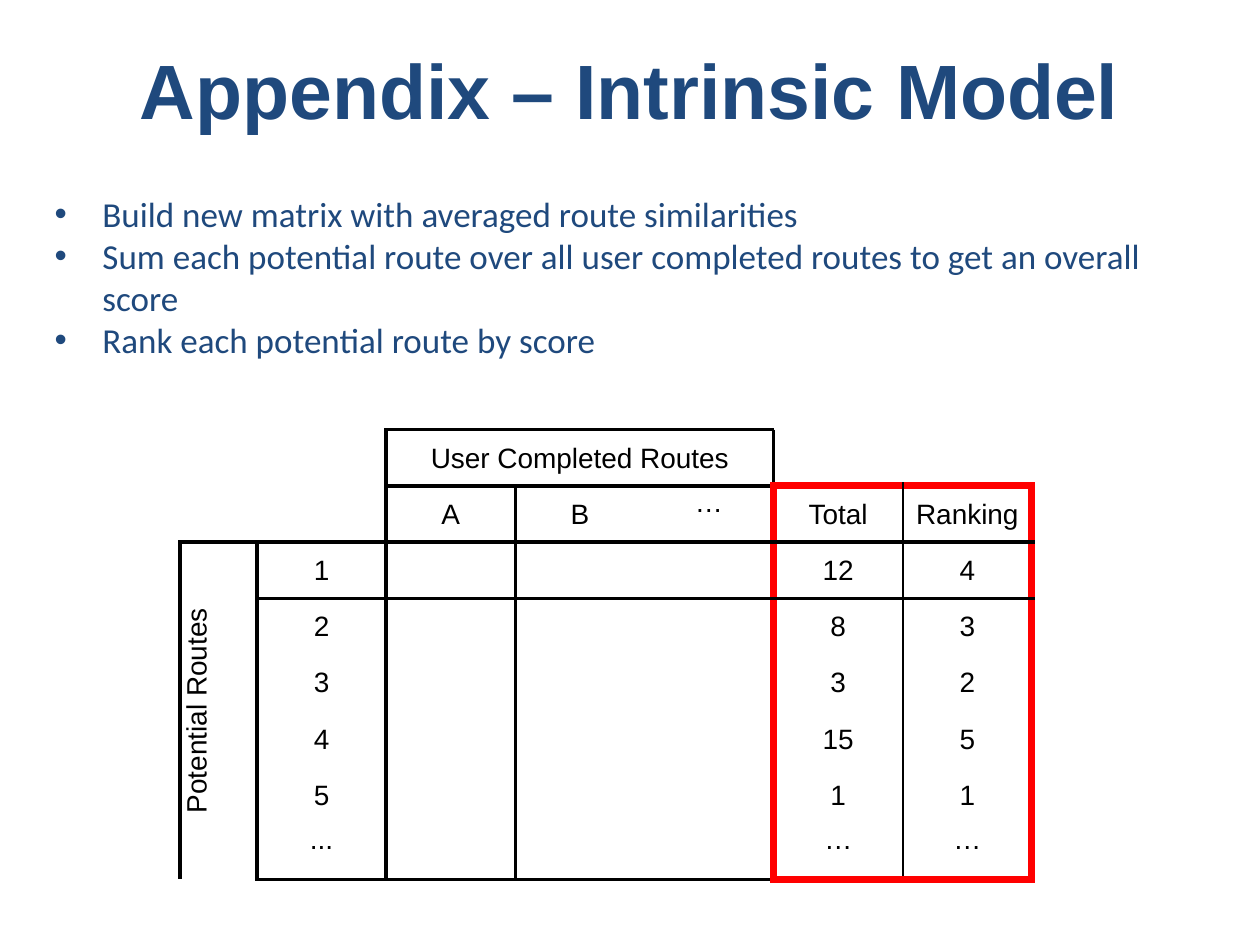
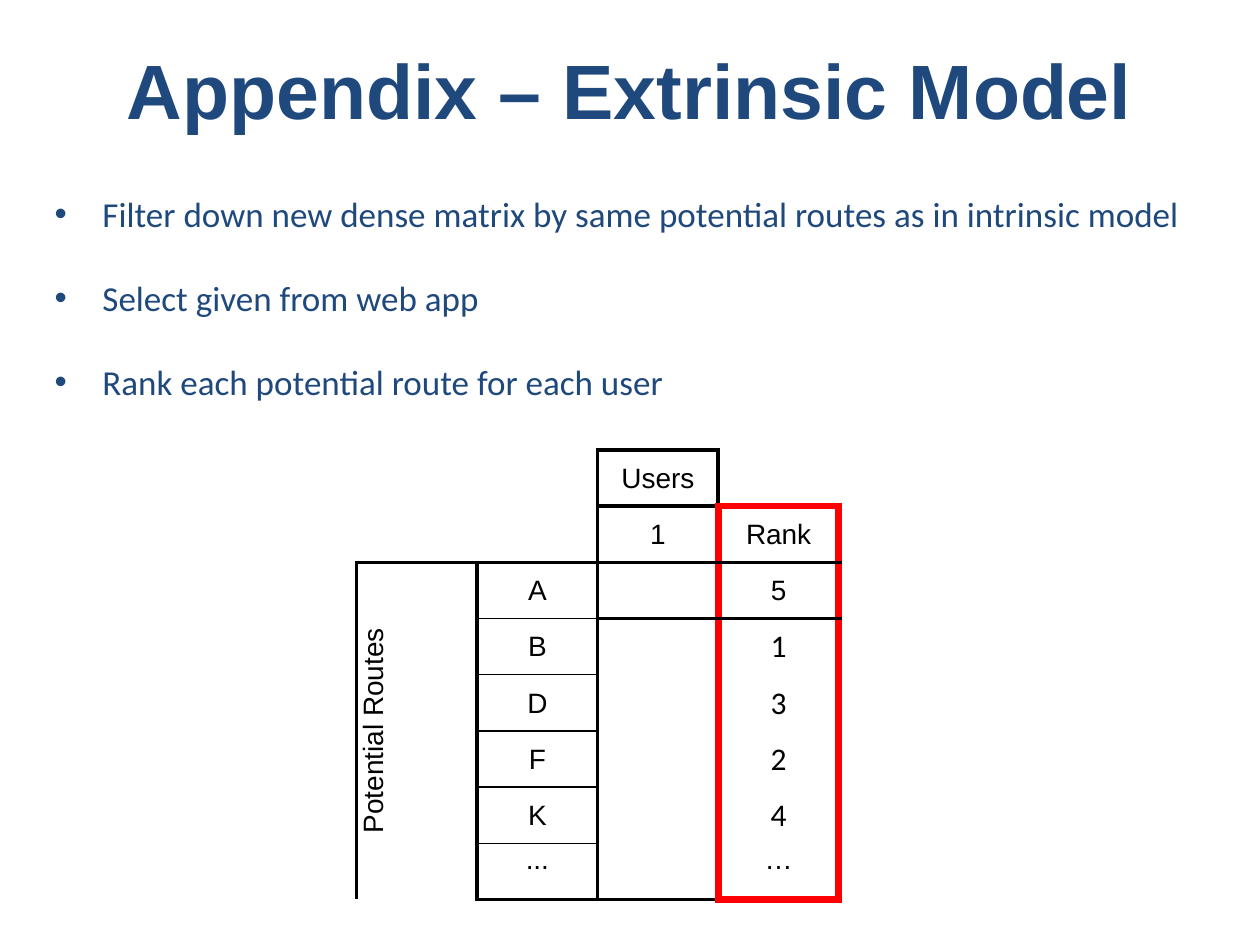
"""Build the two appendix slides on the intrinsic and extrinsic route models."""
from dataclasses import dataclass, field

from lxml import etree
from pptx import Presentation
from pptx import util as u
from pptx.dml import color
from pptx.enum import text
from pptx.oxml import ns

WIDTH, HEIGHT = u.Inches(10), u.Inches(7.5)
NAVY, BLACK, RED = "1F497D", "000000", "FF0000"
ROW = 5.95
LIST_INDENT = u.Inches(0.38)
NO_STYLE = "{2D5ABB26-0587-4C30-8999-92F81FD0307C}"
TITLE_FONT = {"name": "Arial", "size": u.Pt(44), "bold": True}
LIST_FONT = {"name": "Calibri", "size": u.Pt(20), "bold": False}
CELL_FONT = {"name": "Arial", "size": u.Pt(16), "bold": False}
SCORE_FONT = {"name": "Calibri", "size": u.Pt(18), "bold": False}
OPPOSITE = {"L": ("R", 0, -1), "R": ("L", 0, 1), "T": ("B", -1, 0), "B": ("T", 1, 0)}


@dataclass(frozen=True)
class Block:
    """Cells from (top, left) up to (bottom, right), outlined on some sides."""
    top: int
    left: int
    bottom: int
    right: int
    hue: str = BLACK
    points: float = 2.25
    sides: str = "LRTB"


@dataclass(frozen=True)
class Matrix:
    """A grid of texts; left, top and columns are percentages of the slide."""
    left: float
    top: float
    columns: list[float]
    rows: list[list[str]]
    blocks: list[Block]
    merges: list[Block] = field(default_factory=list)
    score_rows: range = range(0)


@dataclass(frozen=True)
class Model:
    """One appendix slide."""
    title: str
    steps: list[str]
    step_gap: float
    matrices: list[Matrix]


def across(share: float) -> int:
    """Turn a percentage of the slide's width into a length."""
    return round(WIDTH * share / 100)


def down(share: float) -> int:
    """Turn a percentage of the slide's height into a length."""
    return round(HEIGHT * share / 100)


def rgb(value: str) -> color.RGBColor:
    """Turn a hex string into a colour."""
    return color.RGBColor.from_string(value)


def assign(target, values: dict) -> None:
    """Set every attribute listed in values."""
    for name, value in values.items():
        setattr(target, name, value)


def write(paragraph, words: str, font: dict, hue: str) -> None:
    """Add one formatted run to a paragraph."""
    run = paragraph.add_run()
    run.text = words
    assign(run.font, font)
    run.font.color.rgb = rgb(hue)


def place(shape, left: float, top: float, width: float, height: float) -> None:
    """Move a shape to a position given in percentages of the slide."""
    assign(shape, {"left": across(left), "top": down(top),
                   "width": across(width), "height": down(height)})


def add_title(slide, words: str) -> None:
    """Fill the title placeholder."""
    title = slide.shapes.title
    place(title, 5, 1.07, 90, 16.67)
    assign(title.text_frame, {"vertical_anchor": text.MSO_ANCHOR.MIDDLE,
                              "auto_size": text.MSO_AUTO_SIZE.NONE})
    heading = title.text_frame.paragraphs[0]
    heading.alignment = text.PP_ALIGN.CENTER
    write(heading, words, TITLE_FONT, NAVY)


def add_steps(slide, steps: list[str], gap: float) -> None:
    """Fill the body placeholder with a bulleted list."""
    body = slide.placeholders[1]
    place(body, 3.33, 19.07, 93.33, 43.87)
    frame = body.text_frame
    inset = u.Inches(0.1)
    assign(frame, {"word_wrap": True, "auto_size": text.MSO_AUTO_SIZE.NONE,
                   "vertical_anchor": text.MSO_ANCHOR.TOP,
                   "margin_left": inset, "margin_right": inset,
                   "margin_top": inset, "margin_bottom": inset})
    for index, step in enumerate(steps):
        item = frame.add_paragraph() if index else frame.paragraphs[0]
        properties = item._p.get_or_add_pPr()
        properties.set("marL", str(LIST_INDENT))
        properties.set("indent", str(-LIST_INDENT))
        etree.SubElement(properties, ns.qn("a:buFont"), typeface="Arial")
        etree.SubElement(properties, ns.qn("a:buChar"), char="•")
        item.space_before = u.Pt(gap if index else 0)
        write(item, step, LIST_FONT, NAVY)


def border_map(matrix: Matrix) -> dict:
    """Give each cell side its line; later blocks override earlier ones."""
    borders = {}
    for block in matrix.blocks:
        for row in range(block.top, block.bottom):
            for column in range(block.left, block.right):
                edges = {"L": column == block.left, "R": column == block.right - 1,
                         "T": row == block.top, "B": row == block.bottom - 1}
                for side in block.sides:
                    if edges[side]:
                        mirror, below, beside = OPPOSITE[side]
                        line = (block.hue, block.points)
                        borders[row, column, side] = line
                        borders[row + below, column + beside, mirror] = line
    return borders


def draw_border(properties, side: str, hue: str, points: float) -> None:
    """Add one border line to a cell's properties."""
    line = etree.SubElement(properties, ns.qn(f"a:ln{side}"), w=str(u.Pt(points)))
    fill = etree.SubElement(line, ns.qn("a:solidFill"))
    etree.SubElement(fill, ns.qn("a:srgbClr"), val=hue)


def add_matrix(slide, matrix: Matrix) -> None:
    """Draw a matrix as a table."""
    count = len(matrix.rows)
    frame = slide.shapes.add_table(
        count, len(matrix.columns), across(matrix.left), down(matrix.top),
        across(sum(matrix.columns)), down(ROW * count))
    for style in frame.element.iter(ns.qn("a:tableStyleId")):
        style.text = NO_STYLE
    table = frame.table
    assign(table, {"first_row": False, "horz_banding": False})
    for column, share in zip(table.columns, matrix.columns):
        column.width = across(share)
    for row in table.rows:
        row.height = down(ROW)
    borders = border_map(matrix)
    for row, labels in enumerate(matrix.rows):
        font = SCORE_FONT if row in matrix.score_rows else CELL_FONT
        for column, label in enumerate(labels):
            cell = table.cell(row, column)
            anchor = text.MSO_ANCHOR.TOP if label in ("…", "...") else text.MSO_ANCHOR.MIDDLE
            inset = u.Inches(0.01)
            assign(cell, {"margin_left": inset, "margin_right": inset, "margin_top": inset,
                          "margin_bottom": 0, "vertical_anchor": anchor})
            properties = cell._tc.get_or_add_tcPr()
            for side in "LRTB":
                if (row, column, side) in borders:
                    draw_border(properties, side, *borders[row, column, side])
            cell.fill.background()
            if label == "Potential Routes":
                properties.set("vert", "vert270")
            if label:
                entry = cell.text_frame.paragraphs[0]
                entry.alignment = text.PP_ALIGN.CENTER
                write(entry, label, font, BLACK)
    for span in matrix.merges:
        table.cell(span.top, span.left).merge(table.cell(span.bottom - 1, span.right - 1))


def route_blocks(last: int) -> list[Block]:
    """Outline the headings, route labels and values of a route matrix."""
    return [Block(0, 2, 1, last), Block(1, 2, 2, last), Block(2, 0, 8, 1),
            Block(2, 1, 8, 2), Block(2, 2, 8, last)]


def route_rows(group: str, headings: list[str], routes: list[str]) -> list[list[str]]:
    """Lay out headings above and route labels beside an empty matrix."""
    blanks = [""] * len(headings)
    labels = [["Potential Routes" if not index else "", route, *blanks]
              for index, route in enumerate(routes)]
    return [["", "", group, *blanks[1:]], ["", "", *headings], *labels]


ROUTE_LABELS = Block(2, 0, 8, 1)
WIDE, NARROW = 10.25, 9.57
INTRINSIC_LEFT, INTRINSIC_TOP = 14.3, 45.47
EXTRINSIC_LEFT, EXTRINSIC_TOP = 28.3, 47.6

MODELS = [
    Model("Appendix – Intrinsic Model",
          ["Build new matrix with averaged route similarities",
           "Sum each potential route over all user completed routes to get an overall score",
           "Rank each potential route by score"], 0,
          [Matrix(INTRINSIC_LEFT, INTRINSIC_TOP, [6.1] + [WIDE] * 4,
                  route_rows("User Completed Routes", ["A", "B", "…"],
                             ["1", "2", "3", "4", "5", "..."]),
                  route_blocks(5), [Block(0, 0, 1, 2), Block(0, 2, 1, 5), ROUTE_LABELS]),
           Matrix(INTRINSIC_LEFT + 6.1 + WIDE * 4, INTRINSIC_TOP, [WIDE] * 2,
                  [["", ""], ["Total", "Ranking"], ["12", "4"], ["8", "3"], ["3", "2"],
                   ["15", "5"], ["1", "1"], ["…", "…"]],
                  [Block(0, 0, 1, 1, sides="L"), Block(1, 0, 8, 1, points=1, sides="R"),
                   Block(1, 0, 8, 2, RED, 4.5), Block(1, 0, 2, 2, sides="B")])]),
    Model("Appendix – Extrinsic Model",
          ["Filter down new dense matrix by same potential routes as in intrinsic model",
           "Select given from web app",
           "Rank each potential route for each user"], 24,
          [Matrix(EXTRINSIC_LEFT, EXTRINSIC_TOP, [NARROW] * 3,
                  route_rows("Users", ["1"], ["A", "B", "D", "F", "K", "..."]),
                  [Block(row, 1, row + 1, 2, points=1) for row in range(2, 8)]
                  + route_blocks(3), [ROUTE_LABELS]),
           Matrix(EXTRINSIC_LEFT + NARROW * 3, EXTRINSIC_TOP + ROW, [NARROW],
                  [["Rank"], ["5"], ["1"], ["3"], ["2"], ["4"], ["…"]],
                  [Block(0, 0, 7, 1, RED, 4.5), Block(0, 0, 1, 1, sides="B")],
                  score_rows=range(2, 6))]),
]


def main() -> None:
    """Build and save the presentation."""
    deck = Presentation()
    assign(deck, {"slide_width": WIDTH, "slide_height": HEIGHT})
    for model in MODELS:
        slide = deck.slides.add_slide(deck.slide_layouts[1])
        add_title(slide, model.title)
        add_steps(slide, model.steps, model.step_gap)
        for matrix in model.matrices:
            add_matrix(slide, matrix)
    deck.save("out.pptx")


if __name__ == "__main__":
    main()
